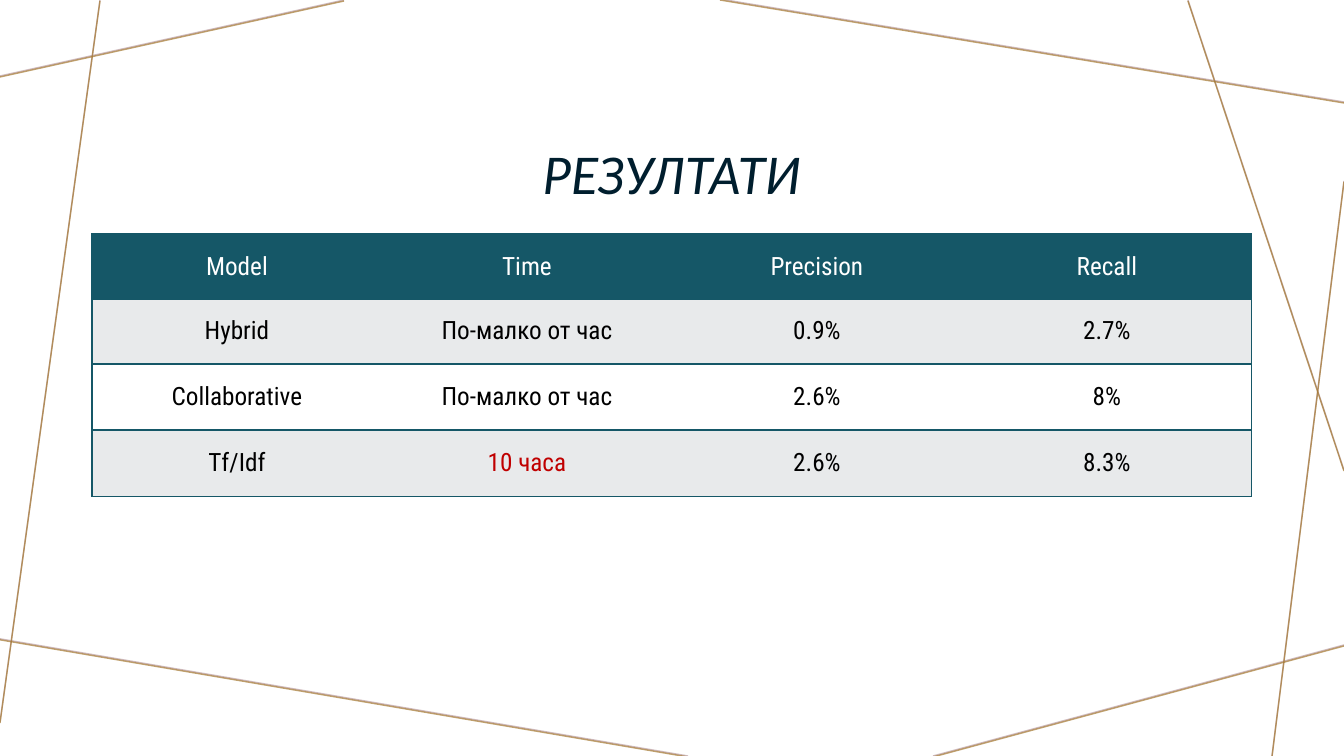
from lxml import etree
from pptx import Presentation
from pptx.dml.color import RGBColor
from pptx.enum.shapes import MSO_CONNECTOR
from pptx.enum.text import MSO_ANCHOR, PP_ALIGN
from pptx.oxml.ns import qn
from pptx.util import Emu, Pt

STRAIGHT = MSO_CONNECTOR.STRAIGHT
MIDDLE, BOTTOM = MSO_ANCHOR.MIDDLE, MSO_ANCHOR.BOTTOM
CENTER = PP_ALIGN.CENTER
EMU_PER_PX = 914400 / 100.8
TEAL, GREY, WHITE, BLACK, RED = "155767", "E8EAEB", "FFFFFF", "000000", "C00000"


def px(length):
    return Emu(round(length * EMU_PER_PX))


def color(code):
    return RGBColor.from_string(code)


deck = Presentation()
deck.slide_width, deck.slide_height = px(1344), px(756)
page = deck.slides.add_slide(deck.slide_layouts[6])

# Crossing lines: a pale layer, then a gold layer one pixel lower
frame_lines = [
    (344, 0, 0, 76),
    (100, 0, 0, 722),
    (688, 756, -5, 638),
    (1344, 645, 933, 756),
    (1344, 181, 1272, 756),
    (1344, 470, 1188, 0),
    (1344, 102, 720, -1),
]
for line_color, drop in [("BA9CA0", 0), ("A57931", 1)]:
    for x1, y1, x2, y2 in frame_lines:
        line = page.shapes.add_connector(
            STRAIGHT, px(x1), px(y1 + drop), px(x2), px(y2 + drop))
        line.line.width = Pt(1)
        line.line.color.rgb = color(line_color)
        properties = line._element.spPr
        tint = properties.find(".//" + qn("a:srgbClr"))
        etree.SubElement(tint, qn("a:alpha"), val="70000")
        etree.SubElement(properties, qn("a:effectLst"))

# Title
box = page.shapes.add_textbox(px(126), px(58), px(1092), px(152))
box.text_frame.word_wrap = True
box.text_frame.vertical_anchor = BOTTOM
para = box.text_frame.paragraphs[0]
para.alignment = CENTER
para.line_spacing = 0.9
span = para.add_run()
span.text = "РЕЗУЛТАТИ"
for name, value in {"name": "Lato", "size": Pt(36), "italic": True}.items():
    setattr(span.font, name, value)
span.font.color.rgb = color("001E2E")

# Results table
results = [
    ["Model", "Time", "Precision", "Recall"],
    ["Hybrid", "По-малко от час", "0.9%", "2.7%"],
    ["Collaborative", "По-малко от час", "2.6%", "8%"],
    ["Tf/Idf", "10 часа", "2.6%", "8.3%"],
]
row_heights = [65, 65, 66, 67]
row_fills = [TEAL, GREY, WHITE, GREY]
last = len(results[0]) - 1
table = page.shapes.add_table(
    len(results), len(results[0]), px(92), px(234), px(1160), px(sum(row_heights))).table
for column in table.columns:
    column.width = px(290)

for r, row in enumerate(results):
    table.rows[r].height = px(row_heights[r])
    for c, text in enumerate(row):
        cell = table.cell(r, c)
        cell.vertical_anchor = MIDDLE
        cell.fill.solid()
        cell.fill.fore_color.rgb = color(row_fills[r])
        para = cell.text_frame.paragraphs[0]
        para.alignment = CENTER
        span = para.add_run()
        span.text = text
        for name, value in {"name": "Roboto Condensed", "size": Pt(18), "bold": False}.items():
            setattr(span.font, name, value)
        text_color = WHITE if r == 0 else RED if text == "10 часа" else BLACK
        span.font.color.rgb = color(text_color)

        # Borders: every horizontal edge, and only the outer vertical edges
        sides = {"a:lnL": c == 0, "a:lnR": c == last, "a:lnT": True, "a:lnB": True}
        cell_properties = cell._tc.get_or_add_tcPr()
        for place, (side, shown) in enumerate(sides.items()):
            border = etree.Element(qn(side), w=str(Pt(1)))
            if shown:
                paint = etree.SubElement(border, qn("a:solidFill"))
                etree.SubElement(paint, qn("a:srgbClr"), val=TEAL)
            else:
                etree.SubElement(border, qn("a:noFill"))
            cell_properties.insert(place, border)

deck.save("out.pptx")
